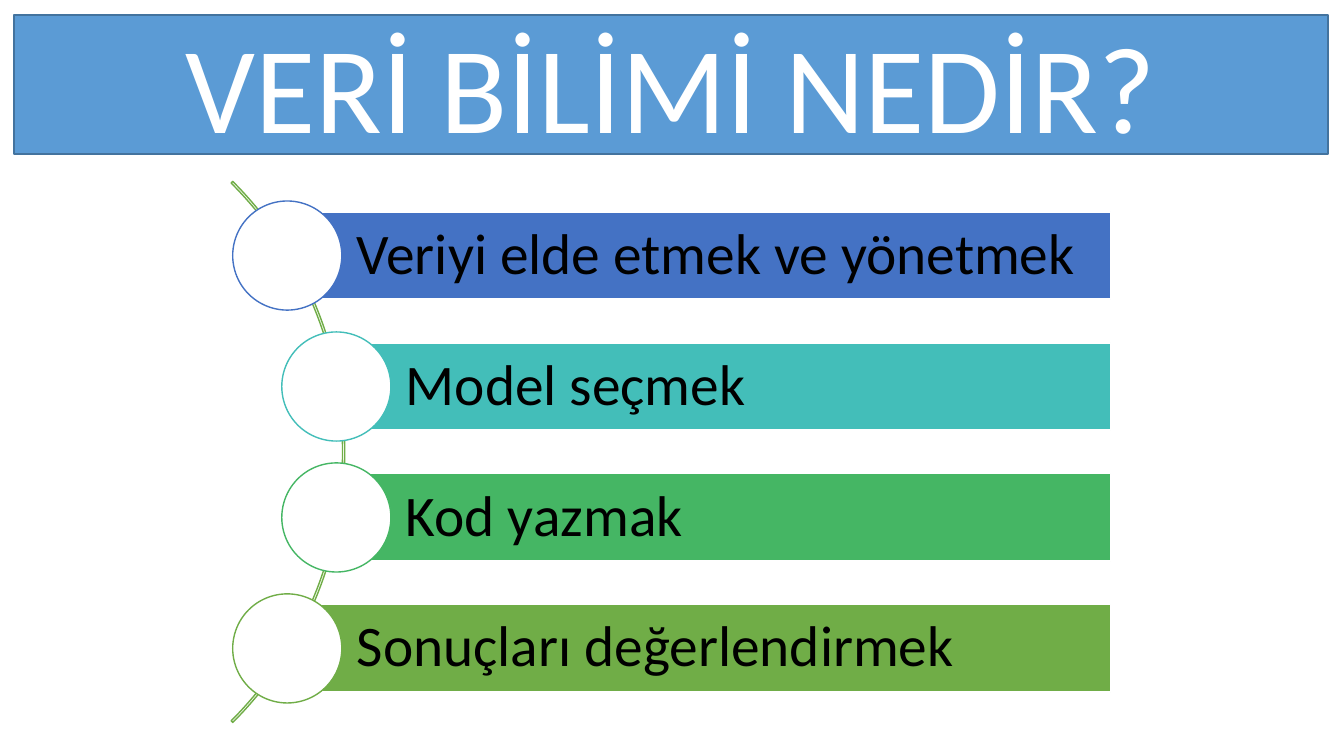
import math
from dataclasses import dataclass

import pptx
import pptx.dml.color
import pptx.enum.shapes
import pptx.enum.text
import pptx.util

Cm = pptx.util.Cm
SHAPE = pptx.enum.shapes.MSO_SHAPE
ALIGN = pptx.enum.text.PP_ALIGN


@dataclass(frozen=True)
class Theme:
    """Colours, font and type sizes of the slide."""
    font: str = "Calibri"
    title_size: int = 88
    step_size: int = 41
    white: str = "FFFFFF"
    black: str = "000000"
    title_fill: str = "5B9BD5"
    title_line: str = "43739E"
    arc_line: str = "70AD47"


THEME = Theme()
STEPS = [
    ("Veriyi elde etmek ve yönetmek", "4472C4"),
    ("Model seçmek", "43BEB9"),
    ("Kod yazmak", "45B664"),
    ("Sonuçları değerlendirmek", "70AD47"),
]
ARC_X, ARC_Y, ARC_RADIUS = -0.95, 11.39, 9.64
NODE_RADIUS, NODE_SIZE = 9.57, 2.75
STEP_GAP, BAR_HEIGHT, BAR_RIGHT = 3.3, 2.2, 27.99


def rgb(color):
    """Turn a hex string into a colour."""
    return pptx.dml.color.RGBColor.from_string(color)


def add_shape(s, kind, left, top, width, height, fill, line):
    """Add a flat preset shape measured in centimetres."""
    sp = s.shapes.add_shape(kind, Cm(left), Cm(top), Cm(width), Cm(height))
    sp.shadow.inherit = False
    if fill:
        sp.fill.solid()
        sp.fill.fore_color.rgb = rgb(fill)
    else:
        sp.fill.background()
    sp.line.color.rgb = rgb(line)
    sp.line.width = pptx.util.Pt(1)
    return sp


def set_text(sp, text, size, color, align):
    """Write one vertically centred line into a shape."""
    tf = sp.text_frame
    tf.word_wrap = True
    tf.vertical_anchor = pptx.enum.text.MSO_ANCHOR.MIDDLE
    p = tf.paragraphs[0]
    p.alignment = align
    r = p.add_run()
    r.text = text
    r.font.name = THEME.font
    r.font.size = pptx.util.Pt(size)
    r.font.color.rgb = rgb(color)
    return tf


def add_title(s, text):
    """Add the title banner."""
    sp = add_shape(s, SHAPE.RECTANGLE, 0.35, 0.38, 33.12, 3.5,
                   THEME.title_fill, THEME.title_line)
    set_text(sp, text, THEME.title_size, THEME.white, ALIGN.CENTER)


def add_arc(s):
    """Add the thin arc that links the steps."""
    size = 2 * ARC_RADIUS
    sp = add_shape(s, SHAPE.BLOCK_ARC, ARC_X - ARC_RADIUS,
                   ARC_Y - ARC_RADIUS, size, size, None, THEME.arc_line)
    for i, value in enumerate((189, 27, 0.003)):
        sp.adjustments[i] = value


def add_step(s, text, color, dy):
    """Add a bar and its circle at a vertical offset from the arc centre."""
    x = ARC_X + math.sqrt(NODE_RADIUS ** 2 - dy ** 2)
    y = ARC_Y + dy
    bar = add_shape(s, SHAPE.RECTANGLE, x, y - BAR_HEIGHT / 2,
                    BAR_RIGHT - x, BAR_HEIGHT, color, THEME.white)
    tf = set_text(bar, text, THEME.step_size, THEME.black, ALIGN.LEFT)
    tf.margin_left = Cm(1.75)
    tf.margin_top = tf.margin_right = tf.margin_bottom = Cm(0.28)
    tf.paragraphs[0].line_spacing = 0.9
    add_shape(s, SHAPE.OVAL, x - NODE_SIZE / 2, y - NODE_SIZE / 2,
              NODE_SIZE, NODE_SIZE, THEME.white, color)


def main():
    """Build and save the slide."""
    prs = pptx.Presentation()
    prs.slide_width, prs.slide_height = Cm(33.87), Cm(19.05)
    s = prs.slides.add_slide(prs.slide_layouts[6])
    add_title(s, "VERİ BİLİMİ NEDİR?")
    add_arc(s)
    for i, (text, color) in enumerate(STEPS):
        add_step(s, text, color, (i - (len(STEPS) - 1) / 2) * STEP_GAP)
    prs.save("out.pptx")


main()
